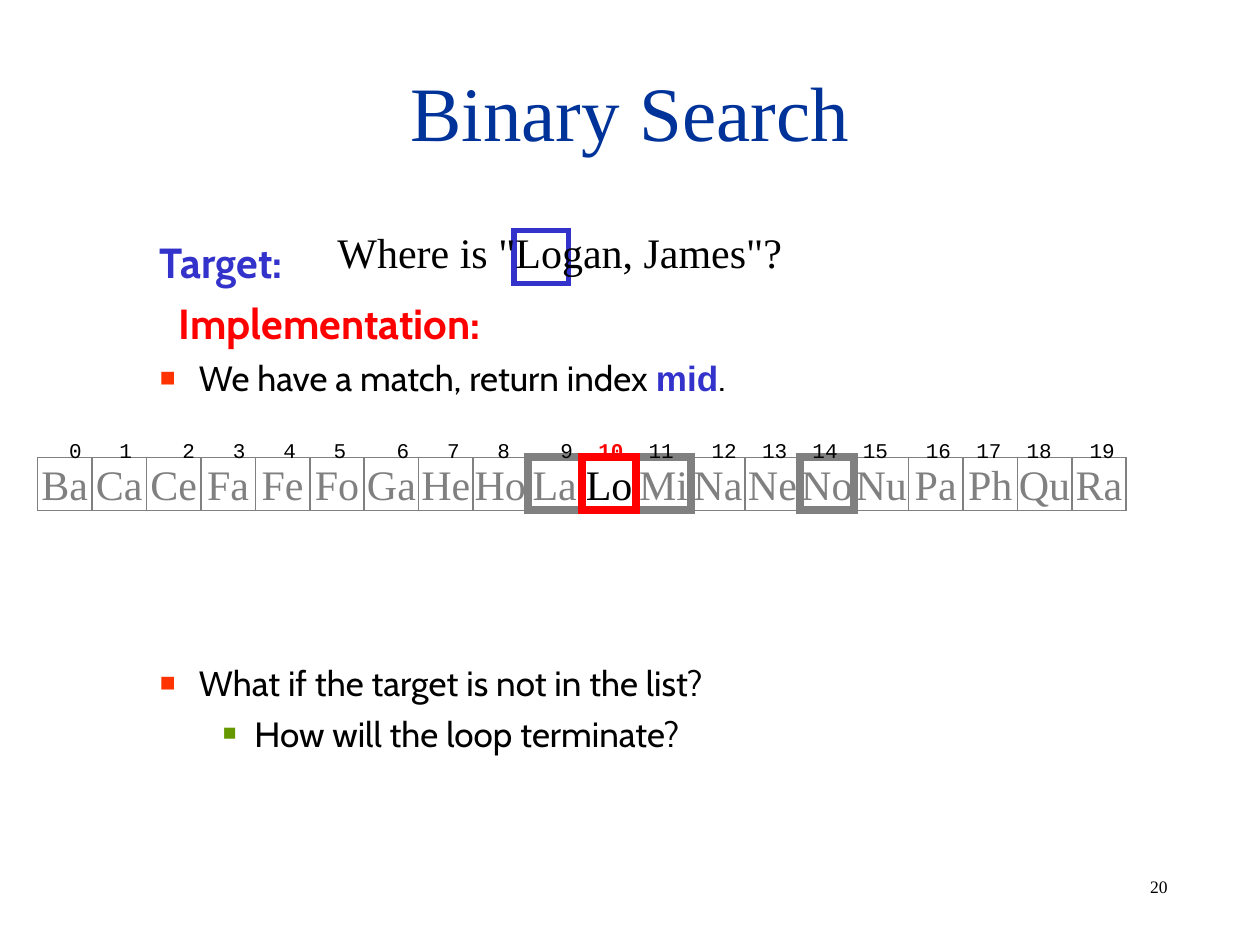
"""Build the Binary Search slide: target, array cells and closing question."""
from lxml import etree
from pptx import Presentation
from pptx.dml.color import RGBColor
from pptx.enum import shapes, text
from pptx.oxml import ns
from pptx.util import Inches, Pt

COLORS = {
    "title": "003399", "target": "3333CC", "red": "FF0000", "black": "000000",
    "gray": "808080", "bullet": "FF3300", "sub_bullet": "669900",
}
SERIF, SANS, MONO = "Times New Roman", "Cabin", "Courier New"


def set_font(font, size, name, color, bold=False):
    font.size, font.name, font.bold = Pt(size), name, bold
    font.color.rgb = RGBColor.from_string(COLORS[color])


def add_square(left, top, color, weight):
    square = slide.shapes.add_shape(
        shapes.MSO_SHAPE.RECTANGLE, Inches(left), Inches(top), Inches(0.43), Inches(0.42))
    square.shadow.inherit = False
    square.fill.background()
    square.line.color.rgb = RGBColor.from_string(COLORS[color])
    square.line.width = Pt(weight)
    etree.SubElement(square.line._get_or_add_ln(), ns.qn("a:miter"), lim="800000")
    return square


presentation = Presentation()
presentation.slide_width, presentation.slide_height = Inches(10), Inches(7.5)
slide = presentation.slides.add_slide(presentation.slide_layouts[6])

add_square(4.08, 1.83, "target", 3)

single_lines = [
    ("20", 9.03, 6.9, 0.78, 0.27, 10, "black", text.PP_ALIGN.LEFT, text.MSO_ANCHOR.TOP),
    ("Binary Search", 0.75, 0.25, 8.5, 1.25, 44, "title", text.PP_ALIGN.CENTER, text.MSO_ANCHOR.MIDDLE),
    ('Where is "Logan, James"?', 2.58, 1.75, 3.81, 0.5, 24, "black", text.PP_ALIGN.LEFT, text.MSO_ANCHOR.TOP),
]
for words, left, top, width, height, size, color, alignment, anchor in single_lines:
    frame = slide.shapes.add_textbox(Inches(left), Inches(top), Inches(width), Inches(height)).text_frame
    frame.word_wrap = True
    frame.vertical_anchor = anchor
    paragraph = frame.paragraphs[0]
    paragraph.text = words
    paragraph.alignment = alignment
    set_font(paragraph.font, size, SERIF, color)

gap_for_array = 150
body_lines = [
    (["Target:"], 24, "target", True, 0, 0.81, -0.31, None),
    (["Implementation:"], 24, "red", True, 6, 0.81, -0.16, None),
    (["We have a match, return index ", "mid", "."], 20, "black", False, 5, 0.81, -0.31, ("bullet", 75)),
    (["What if the target is not in the list?"], 20, "black", False, gap_for_array, 0.81, -0.31, ("bullet", 75)),
    (["How will the loop terminate?"], 20, "black", False, 5, 1.25, -0.25, ("sub_bullet", 65)),
]
body = slide.shapes.add_textbox(Inches(0.67), Inches(1.83), Inches(8.75), Inches(4.5)).text_frame
body.word_wrap = True
for number, (pieces, size, color, bold, before, margin, indent, bullet) in enumerate(body_lines):
    paragraph = body.add_paragraph() if number else body.paragraphs[0]
    paragraph.space_before = Pt(before)
    properties = paragraph._p.get_or_add_pPr()
    properties.set("marL", str(Inches(margin)))
    properties.set("indent", str(Inches(indent)))
    if bullet:
        bullet_color, percent = bullet
        holder = etree.SubElement(properties, ns.qn("a:buClr"))
        etree.SubElement(holder, ns.qn("a:srgbClr"), val=COLORS[bullet_color])
        etree.SubElement(properties, ns.qn("a:buSzPct"), val=str(percent * 1000))
        etree.SubElement(properties, ns.qn("a:buFont"), typeface="Arial")
        etree.SubElement(properties, ns.qn("a:buChar"), char="■")
    set_font(paragraph.font, size, SANS, color, bold)
    for piece in pieces:
        run = paragraph.add_run()
        run.text = piece
        if piece == "mid":
            set_font(run.font, size, "Arial", "target", True)

names = "Ba Ca Ce Fa Fe Fo Ga He Ho La Lo Mi Na Ne No Nu Pa Ph Qu Ra".split()
probed = [14, 9, 11, 10]
found = probed[-1]
cell_pitch = 8.64 / len(names)
cells = []
for index, name in enumerate(names):
    line_color, text_color = ("red", "black") if index == found else ("gray", "gray")
    weight = 4.5 if index in probed else 0.75
    cell = add_square(0.3 + index * cell_pitch, 3.63, line_color, weight)
    cell.text_frame.word_wrap = False
    cell.text_frame.vertical_anchor = text.MSO_ANCHOR.MIDDLE
    paragraph = cell.text_frame.paragraphs[0]
    paragraph.text = name
    paragraph.alignment = text.PP_ALIGN.CENTER
    set_font(paragraph.font, 24, SERIF, text_color)
    cells.append(cell)

character_width = 0.1
label_columns = [0, 4, 9, 13, 17, 21, 26, 30, 34, 39, 42, 46, 51, 55, 59, 63, 68, 72, 76, 81]
labels = slide.shapes.add_textbox(Inches(0.45), Inches(3.42), Inches(8.6), Inches(0.3)).text_frame
labels.word_wrap = True
paragraph = labels.paragraphs[0]
tab_stops = etree.SubElement(paragraph._p.get_or_add_pPr(), ns.qn("a:tabLst"))
for column in label_columns[1:]:
    etree.SubElement(tab_stops, ns.qn("a:tab"), pos=str(Inches(column * character_width)), algn="l")
set_font(paragraph.font, 12, MONO, "black")
for index in range(len(names)):
    run = paragraph.add_run()
    run.text = f"\t{index}" if index else "0"
    if index == found:
        set_font(run.font, 12, MONO, "red", True)

slide.shapes._spTree.append(cells[found]._element)

presentation.save("out.pptx")
